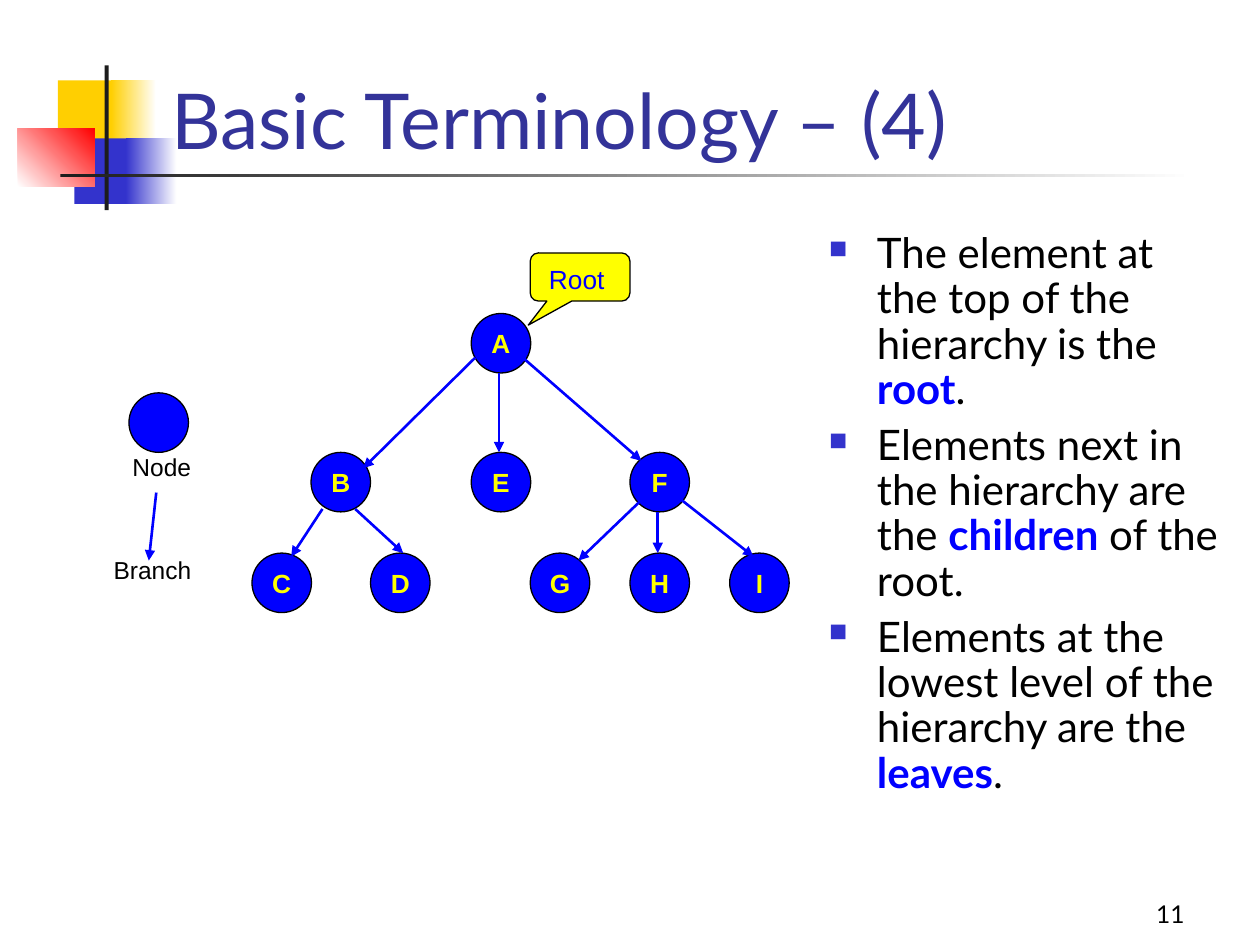
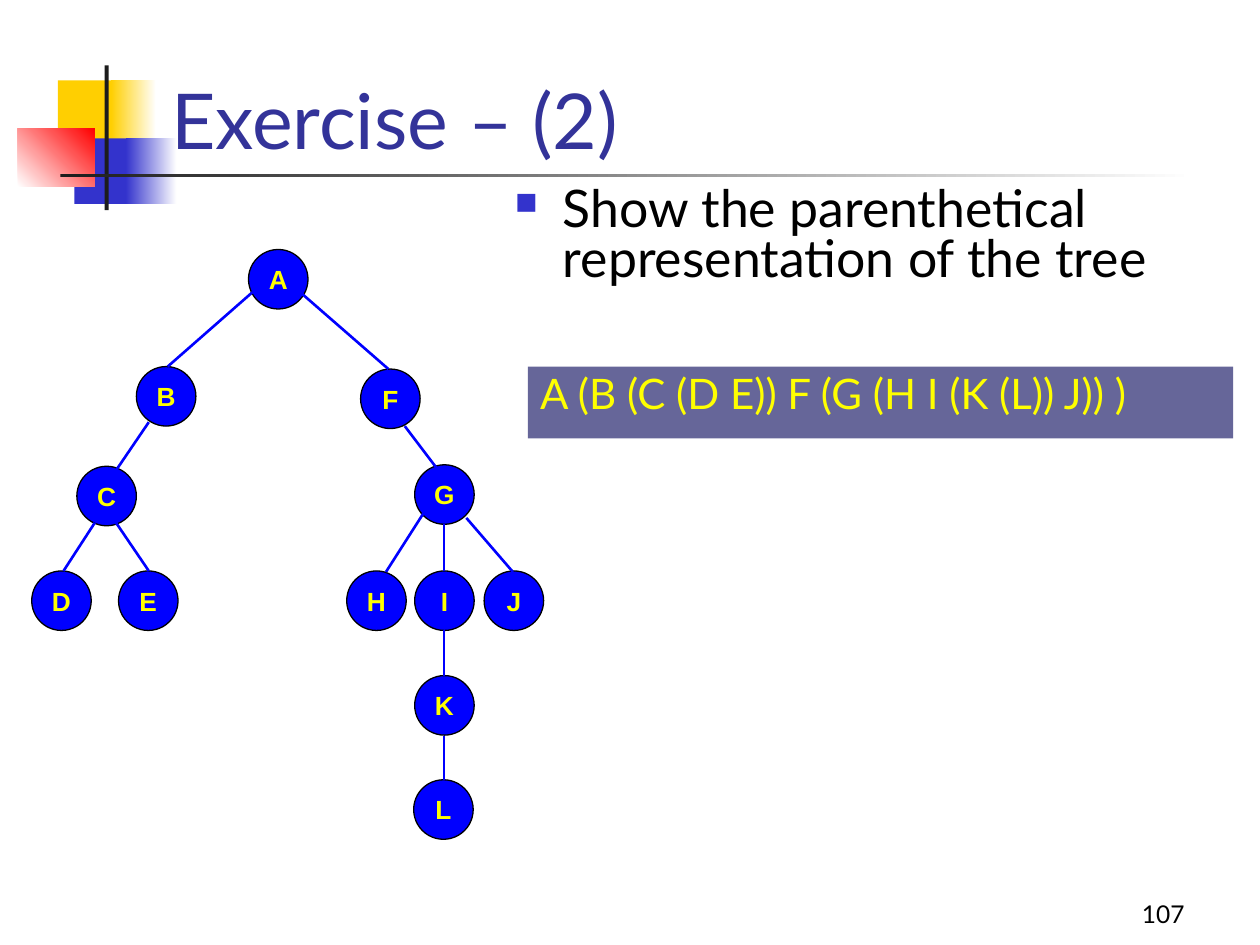
import pptx
import pptx.dml.color
import pptx.enum.shapes
import pptx.enum.text
import pptx.oxml.ns
import pptx.util
from lxml import etree

Cm, Pt = pptx.util.Cm, pptx.util.Pt
SHAPE = pptx.enum.shapes.MSO_SHAPE
ANCHOR = pptx.enum.text.MSO_ANCHOR
ALIGN = pptx.enum.text.PP_ALIGN
qn = pptx.oxml.ns.qn

COLORS = {
    "title": "333399", "text": "000000", "key": "0000FF", "bullet": "3333CC",
    "gold": "FFCF01", "indigo": "3333CC", "red": "FF0000", "white": "FFFFFF",
    "rule": "1C1C1C", "node": "0000FF", "label": "FFFF00", "callout": "FFFF00",
    "outline": "000000", "answer": "666699",
}
BODY_FONT, TREE_FONT = "Lato", "Arial"
NODE = 1.2
TREE_INSETS = (0.33, 0.15)
INDENT = 0.97


def rgb(name):
    return pptx.dml.color.RGBColor.from_string(COLORS[name])


def lengths(*values):
    return [Cm(v) for v in values]


def add_bullet(p):
    pPr = p._p.get_or_add_pPr()
    pPr.set("marL", str(Cm(INDENT)))
    pPr.set("indent", str(-Cm(INDENT)))
    color = etree.SubElement(pPr, qn("a:buClr"))
    etree.SubElement(color, qn("a:srgbClr"), val=COLORS["bullet"])
    etree.SubElement(pPr, qn("a:buSzPct"), val="60000")
    etree.SubElement(pPr, qn("a:buChar"), char="■")


def write(s, *paragraphs, size, color="text", font=BODY_FONT, bold=False,
          align=ALIGN.LEFT, anchor=ANCHOR.TOP, insets=(0.25, 0.13), wrap=True,
          bullets=False, line_spacing=None, space_before=0):
    """Fill a shape with paragraphs; words between asterisks become key terms."""
    tf = s.text_frame
    tf.word_wrap = wrap
    tf.vertical_anchor = anchor
    tf.margin_left = tf.margin_right = Cm(insets[0])
    tf.margin_top = tf.margin_bottom = Cm(insets[1])
    for i, paragraph in enumerate(paragraphs):
        p = tf.add_paragraph() if i else tf.paragraphs[0]
        if bullets:
            add_bullet(p)
        p.alignment = align
        p.line_spacing = line_spacing
        p.space_before = Pt(space_before if i else 0)
        for j, part in enumerate(paragraph.split("*")):
            is_key = j % 2 == 1
            r = p.add_run()
            r.text = part
            r.font.name, r.font.size = font, Pt(size)
            r.font.bold = bold or is_key
            r.font.color.rgb = rgb("key" if is_key else color)


def add_text(slide, box, *paragraphs, **fmt):
    s = slide.shapes.add_textbox(*lengths(*box))
    write(s, *paragraphs, **fmt)
    return s


def add_shape(slide, kind, box, fill, line=None):
    s = slide.shapes.add_shape(kind, *lengths(*box))
    s.shadow.inherit = False
    s.fill.solid()
    s.fill.fore_color.rgb = rgb(fill)
    if line:
        s.line.color.rgb = rgb(line)
        s.line.width = Pt(0.75)
    else:
        s.line.fill.background()
    return s


def add_fade(slide, box, start, end, angle=0):
    s = add_shape(slide, SHAPE.RECTANGLE, box, start)
    s.fill.gradient()
    s.fill.gradient_angle = angle
    for stop, name in zip(s.fill.gradient_stops, (start, end)):
        stop.color.rgb = rgb(name)


def add_branch(slide, x1, y1, x2, y2, arrow):
    c = slide.shapes.add_connector(pptx.enum.shapes.MSO_CONNECTOR.STRAIGHT,
                                   *lengths(x1, y1, x2, y2))
    c.line.color.rgb = rgb("node")
    c.line.width = Pt(1.5)
    if arrow:
        etree.SubElement(c.line._get_or_add_ln(), qn("a:tailEnd"), type="triangle")
    etree.SubElement(c._element.spPr, qn("a:effectLst"))


def add_node(slide, x, y, label=None):
    s = add_shape(slide, SHAPE.FLOWCHART_CONNECTOR, (x, y, NODE, NODE), "node", "outline")
    if label:
        write(s, label, size=15, color="label", font=TREE_FONT, bold=True,
              align=ALIGN.CENTER, anchor=ANCHOR.MIDDLE, insets=(0, 0.05), wrap=False)


def add_emblem(slide, left, top):
    """Coloured squares crossed by a thin upright bar and a fading rule."""
    add_shape(slide, SHAPE.RECTANGLE, (left + 0.81, top + 0.3, 1.22, 1.32), "gold")
    add_fade(slide, (left + 1.88, top + 0.3, 0.91, 1.32), "gold", "white")
    add_shape(slide, SHAPE.RECTANGLE, (left + 1.14, top + 1.47, 1.17, 1.32), "indigo")
    add_fade(slide, (left + 2.18, top + 1.47, 1.02, 1.32), "indigo", "white")
    add_fade(slide, (left, top + 1.27, 1.55, 1.17), "white", "red", 45)
    add_shape(slide, SHAPE.RECTANGLE, (left + 1.75, top, 0.08, 2.92), "rule")
    add_fade(slide, (left + 0.86, top + 2.18, 22.86, 0.08), "rule", "white")


def add_base_slide(prs, title, number):
    slide = prs.slides.add_slide(prs.slide_layouts[6])
    add_emblem(slide, 0.36, 1.32)
    add_text(slide, (18.85, 17.58, 5.28, 1.27), number, size=14,
             align=ALIGN.RIGHT, anchor=ANCHOR.BOTTOM)
    add_text(slide, (3.2, 0.28, 21.64, 3.18), title, size=44, color="title",
             anchor=ANCHOR.BOTTOM)
    return slide


def add_tree(slide, left, top, nodes, branches, arrow=False):
    """Nodes map a label to x, y; branches list x1, y1, x2, y2."""
    for label, (x, y) in nodes.items():
        add_node(slide, left + x, top + y, label)
    for x1, y1, x2, y2 in branches:
        add_branch(slide, left + x1, top + y1, left + x2, top + y2, arrow)


def add_root_callout(slide, box):
    s = add_shape(slide, SHAPE.ROUNDED_RECTANGULAR_CALLOUT, box, "callout", "outline")
    for i, value in enumerate((-0.52, 1, 0.17)):
        s.adjustments[i] = value
    write(s, "Root", size=15, color="key", font=TREE_FONT, insets=TREE_INSETS, wrap=False)


def add_legend(slide, left, top):
    add_node(slide, left + 0.64, top)
    add_branch(slide, left + 1.19, top + 2.01, left + 1.04, top + 3.38, True)
    for x, y, width, word in ((0.38, 1.04, 1.93, "Node"), (0, 3.12, 2.26, "Branch")):
        add_text(slide, (left + x, top + y, width, 0.97), word, size=14,
                 font=TREE_FONT, insets=TREE_INSETS, wrap=False)


def add_terminology_slide(prs):
    slide = add_base_slide(prs, "Basic Terminology – (4)", "11")
    add_text(slide, (16.46, 4.55, 8.43, 12.47),
             "The element at the top of the hierarchy is the *root*.",
             "Elements next in the hierarchy are the *children* of the root.",
             "Elements at the lowest level of the hierarchy are the *leaves*.",
             size=24, bullets=True, line_spacing=0.9, space_before=6)
    children, leaves = 2.8, 4.83
    nodes = {
        "A": (4.42, 0),
        "B": (1.19, children), "E": (4.42, children), "F": (7.62, children),
        "C": (0, leaves), "D": (2.39, leaves), "G": (5.61, leaves),
        "H": (7.62, leaves), "I": (9.63, leaves),
    }
    branches = [
        (4.5, 0.89, 2.24, 3.12), (4.98, 1.19, 4.98, 2.8), (5.46, 0.89, 7.85, 2.97),
        (1.42, 3.94, 0.79, 4.9), (2.08, 3.94, 3.05, 4.83),
        (7.85, 3.76, 6.58, 4.98), (8.18, 4, 8.18, 4.83), (8.66, 3.76, 10.11, 4.9),
    ]
    add_tree(slide, 5.08, 6.32, nodes, branches, arrow=True)
    add_root_callout(slide, (10.69, 5.1, 2.01, 0.97))
    add_legend(slide, 1.96, 7.92)


def add_exercise_slide(prs):
    slide = add_base_slide(prs, "Exercise – (2)", "107")
    add_text(slide, (10.13, 3.66, 14.35, 2.95),
             "Show the parenthetical representation of the tree",
             size=29.6, bullets=True, line_spacing=0.8)
    leaves = 6.48
    nodes = {
        "A": (4.37, 0), "B": (2.11, 2.36), "F": (6.63, 2.41),
        "C": (0.91, 4.37), "G": (7.72, 4.34),
        "D": (0, leaves), "E": (1.75, leaves),
        "H": (6.35, leaves), "I": (7.72, leaves), "J": (9.12, leaves),
        "K": (7.72, 8.59), "L": (7.7, 10.69),
    }
    branches = [
        (4.45, 0.86, 2.74, 2.36), (5.41, 0.86, 7.19, 2.41),
        (2.36, 3.48, 1.7, 4.45), (7.52, 3.56, 8.15, 4.39),
        (1.27, 5.51, 0.64, 6.48), (1.7, 5.51, 2.36, 6.48),
        (7.92, 5.28, 7.14, 6.5), (8.31, 5.54, 8.31, 6.48), (8.76, 5.41, 9.7, 6.5),
        (8.31, 7.67, 8.31, 8.59), (8.31, 9.8, 8.31, 10.69),
    ]
    add_tree(slide, 0.64, 5.03, nodes, branches)
    s = add_shape(slide, SHAPE.RECTANGLE, (10.64, 7.39, 14.22, 1.45), "answer")
    write(s, "A (B (C (D E)) F (G (H I (K (L)) J)) )", size=24, color="label",
          line_spacing=0.9)


def main():
    prs = pptx.Presentation()
    prs.slide_width, prs.slide_height = lengths(25.4, 19.05)
    add_terminology_slide(prs)
    add_exercise_slide(prs)
    prs.save("out.pptx")


if __name__ == "__main__":
    main()
